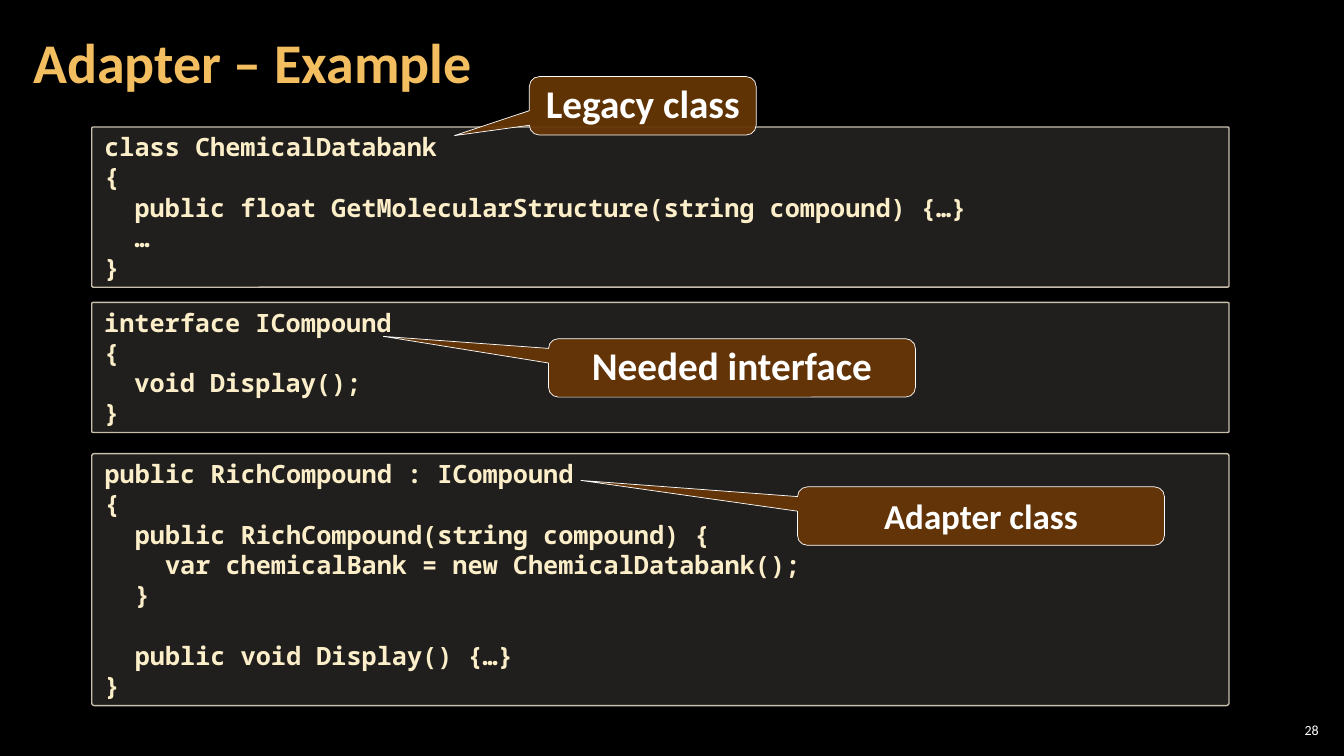
from lxml.etree import SubElement
from pptx import Presentation
from pptx.dml.color import RGBColor
from pptx.enum.shapes import MSO_SHAPE as SHAPE
from pptx.enum.text import MSO_ANCHOR as ANCHOR, MSO_AUTO_SIZE as FIT, PP_ALIGN as ALIGN
from pptx.oxml.ns import qn
from pptx.util import Pt

PX = 9144
BLACK = RGBColor(0x00, 0x00, 0x00)
WHITE = RGBColor(0xFF, 0xFF, 0xFF)
GOLD = RGBColor(0xF3, 0xBE, 0x60)
CREAM = RGBColor(0xFB, 0xEE, 0xC9)
SAND = RGBColor(0xD9, 0xD5, 0xC7)
BORDER = RGBColor(0xC7, 0xBF, 0xAC)
BROWN = RGBColor(0x66, 0x36, 0x06)


class Deck:
    """Draws styled text, code boxes and callouts on the current slide."""

    title = dict(name="Calibri", size=Pt(40), bold=True)
    number = dict(name="Calibri", size=Pt(10))
    code_font = dict(name="Noto Sans Mono", size=Pt(18), bold=True)
    label = dict(name="Calibri", bold=True)
    wide, narrow = (12, 4, 12, 4), (4, 4, 4, 4)
    indent, code_line = 30, Pt(22)

    def __init__(self, prs):
        self.s = prs.slides.add_slide(prs.slide_layouts[6])
        fill = self.s.background.fill
        fill.solid()
        fill.fore_color.rgb = BLACK

    def frame(self, sp, margins, **fmt):
        tf = sp.text_frame
        sides = ("margin_left", "margin_top", "margin_right", "margin_bottom")
        fmt.update(zip(sides, (m * PX for m in margins)), word_wrap=True)
        for key, value in fmt.items():
            setattr(tf, key, value)
        return tf

    def run(self, p, text, font, color, **fmt):
        r = p.add_run()
        r.text = text
        for target, values in ((p, fmt), (r.font, font)):
            for key, value in values.items():
                setattr(target, key, value)
        r.font.color.rgb = color

    def text(self, box, text, font, color, margins, **fmt):
        sp = self.s.shapes.add_textbox(*(v * PX for v in box))
        tf = self.frame(sp, margins, vertical_anchor=ANCHOR.MIDDLE, auto_size=FIT.NONE)
        self.run(tf.paragraphs[0], text, font, color, **fmt)

    def shape(self, kind, box, adj, color, alpha, line, width):
        sp = self.s.shapes.add_shape(kind, *(v * PX for v in box))
        sp.shadow.inherit = False
        for i, value in enumerate(adj):
            sp.adjustments[i] = value
        sp.fill.solid()
        sp.fill.fore_color.rgb = color
        clr = sp._element.spPr.find(qn("a:solidFill"))[0]
        SubElement(clr, qn("a:alpha"), val=str(alpha * 1000))
        sp.line.color.rgb = line
        sp.line.width = Pt(width)
        return sp

    def code(self, top, height, lines):
        box = (91, top, 1128, height)
        sp = self.shape(SHAPE.ROUNDED_RECTANGLE, box, [0.01], SAND, 15, BORDER, 1)
        tf = self.frame(sp, self.wide, vertical_anchor=ANCHOR.TOP,
                        auto_size=FIT.SHAPE_TO_FIT_TEXT)
        gap = Pt(0)
        for i, (level, text) in enumerate(lines):
            if not text:
                gap = self.code_line
                continue
            p = tf.add_paragraph() if i else tf.paragraphs[0]
            self.run(p, text, self.code_font, CREAM, alignment=ALIGN.LEFT, space_before=gap)
            p._p.get_or_add_pPr().set("marL", str(level * self.indent * PX))
            gap = Pt(0)

    def callout(self, left, top, width, tip, text, size=28):
        sp = self.shape(SHAPE.ROUNDED_RECTANGULAR_CALLOUT, (left, top, width, 58),
                        (*tip, 0.17), BROWN, 95, WHITE, 0.5)
        tf = self.frame(sp, (10, 5, 10, 5), vertical_anchor=ANCHOR.TOP,
                        auto_size=FIT.SHAPE_TO_FIT_TEXT)
        self.run(tf.paragraphs[0], text, dict(self.label, size=Pt(size)), WHITE,
                 alignment=ALIGN.CENTER, line_spacing=Pt(30))


def main():
    prs = Presentation()
    prs.slide_width, prs.slide_height = 1333 * PX, 750 * PX
    d = Deck(prs)
    d.text((1265, 714, 47, 21), "28", d.number, WHITE, d.narrow, alignment=ALIGN.RIGHT)
    d.text((21, 4, 1047, 121), "Adapter – Example", d.title, GOLD, d.wide, line_spacing=0.9)
    d.code(126, 159, [
        (0, "class ChemicalDatabank"),
        (0, "{"),
        (1, "public float GetMolecularStructure(string compound) {…}"),
        (1, "…"),
        (0, "}"),
    ])
    d.code(300, 129, [
        (0, "interface ICompound"),
        (0, "{"),
        (1, "void Display();"),
        (0, "}"),
    ])
    d.code(450, 250, [
        (0, "public RichCompound : ICompound"),
        (0, "{"),
        (1, "public RichCompound(string compound) {"),
        (2, "var chemicalBank = new ChemicalDatabank();"),
        (1, "}"),
        (0, ""),
        (1, "public void Display() {…}"),
        (0, "}"),
    ])
    d.callout(525, 76, 225, (-0.83, 0.51), "Legacy class")
    d.callout(544, 336, 364, (-0.95, -0.54), "Needed interface")
    d.callout(791, 483, 364, (-1.09, -0.61), "Adapter class", 25)
    prs.save("out.pptx")


if __name__ == "__main__":
    main()
